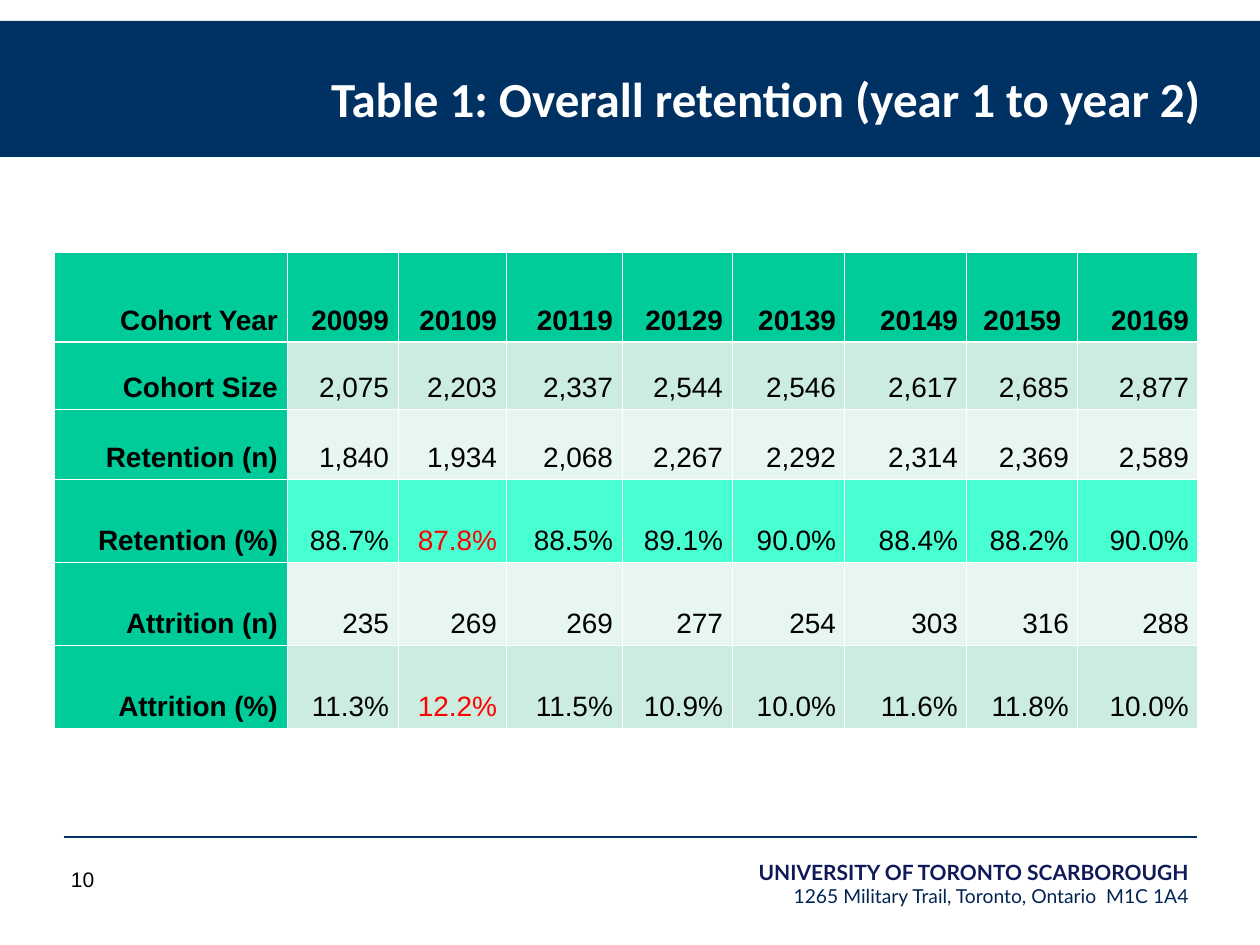
"""Build the slide with the overall retention table."""
from lxml.etree import SubElement
from pptx import Presentation
from pptx.dml.color import RGBColor
from pptx.enum.shapes import MSO_CONNECTOR, MSO_SHAPE
from pptx.enum.text import MSO_ANCHOR, PP_ALIGN
from pptx.oxml.ns import qn
from pptx.util import Emu, Pt

SCALE = 914400 / 126
NAVY = RGBColor(0x00, 0x31, 0x63)
INDIGO = RGBColor(0x11, 0x1A, 0x58)
INK = RGBColor(0x00, 0x25, 0x54)
WHITE = RGBColor(0xFF, 0xFF, 0xFF)
BLACK = RGBColor(0x00, 0x00, 0x00)
RED = RGBColor(0xFF, 0x00, 0x00)
GREEN = RGBColor(0x00, 0xCC, 0x99)
BRIGHT = RGBColor(0x47, 0xFF, 0xD1)
MINT = RGBColor(0xCB, 0xEC, 0xDE)
PALE = RGBColor(0xE7, 0xF6, 0xEF)

COLS = [233, 111, 108, 116, 110, 113, 122, 111, 120]
ROWS = [
    (90, GREEN, "Cohort Year|20099|20109|20119|20129|20139|20149|20159|20169"),
    (67, MINT, "Cohort Size|2,075|2,203|2,337|2,544|2,546|2,617|2,685|2,877"),
    (70, PALE, "Retention (n)|1,840|1,934|2,068|2,267|2,292|2,314|2,369|2,589"),
    (83, BRIGHT, "Retention (%)|88.7%|87.8%|88.5%|89.1%|90.0%|88.4%|88.2%|90.0%"),
    (83, PALE, "Attrition (n)|235|269|269|277|254|303|316|288"),
    (83, MINT, "Attrition (%)|11.3%|12.2%|11.5%|10.9%|10.0%|11.6%|11.8%|10.0%"),
]
LOWS = {"87.8%", "12.2%"}


def px(*nums):
    """Turn pixel lengths into EMU."""
    return [Emu(round(num * SCALE)) for num in nums]


def add_run(para, text, font, size, color, bold=False):
    """Add one formatted run to a paragraph."""
    run = para.add_run()
    run.text = text
    run.font.name = font
    run.font.size = Pt(size)
    run.font.bold = bold
    run.font.color.rgb = color


def set_frame(frame, anchor, pads):
    """Set anchor, insets and wrapping, and return the first paragraph."""
    frame.word_wrap = True
    frame.vertical_anchor = anchor
    (frame.margin_left, frame.margin_top,
     frame.margin_right, frame.margin_bottom) = px(*pads)
    return frame.paragraphs[0]


def add_band(slide):
    """Draw the navy band behind the title."""
    band = slide.shapes.add_shape(MSO_SHAPE.RECTANGLE, *px(0, 21, 1260, 136))
    band.shadow.inherit = False
    band.fill.solid()
    band.fill.fore_color.rgb = NAVY
    band.line.fill.background()


def add_rule(slide):
    """Draw the thin rule above the footer."""
    rule = slide.shapes.add_connector(
        MSO_CONNECTOR.STRAIGHT, *px(64, 837, 1197, 837))
    rule.line.color.rgb = NAVY
    rule.line.width = Pt(0.75)
    SubElement(rule.element.spPr, qn("a:effectLst"))


def set_title(slide):
    """Place the title in front of the band."""
    title = slide.shapes.title
    title.left, title.top, title.width, title.height = px(314, 11, 903, 116)
    title.element.getparent().append(title.element)
    para = set_frame(title.text_frame, MSO_ANCHOR.BOTTOM, (13, 6, 13, 0))
    para.alignment = PP_ALIGN.CENTER
    add_run(para, "Table 1: Overall retention (year 1 to year 2)",
            "Calibri", 28, WHITE, True)


def add_foot(slide):
    """Add the address and the page number."""
    box = slide.shapes.add_textbox(*px(273, 849, 916, 64))
    para = set_frame(box.text_frame, MSO_ANCHOR.MIDDLE, (101, 10, 0, 5))
    para.alignment = PP_ALIGN.RIGHT
    add_run(para, "UNIVERSITY OF TORONTO SCARBOROUGH", "Lato", 12, INDIGO, True)
    para.add_line_break()
    add_run(para, "1265 Military Trail, Toronto, Ontario  M1C 1A4",
            "Lato", 11, INK)
    page = slide.shapes.add_textbox(*px(58, 861, 48, 38))
    para = set_frame(page.text_frame, MSO_ANCHOR.TOP, (13, 6, 0, 6))
    add_run(para, "10", "Arial", 12, BLACK)


def add_edge(cell, side, width):
    """Add one white border to a cell."""
    edge = SubElement(cell._tc.get_or_add_tcPr(), qn(f"a:ln{side}"),
                      w=str(Pt(width)))
    fill = SubElement(edge, qn("a:solidFill"))
    SubElement(fill, qn("a:srgbClr"), val=str(WHITE))


def fill_cell(cell, text, row, col, color):
    """Write and format one table cell."""
    thick = {(0, "B"), (1, "T")}
    for side in "LRTB":
        add_edge(cell, side, 1.47 if (row, side) in thick else 0.45)
    cell.fill.solid()
    cell.fill.fore_color.rgb = color
    cell.vertical_anchor = MSO_ANCHOR.BOTTOM
    cell.margin_left, cell.margin_right = px(9, 9)
    cell.margin_top, cell.margin_bottom = px(6, 6)
    para = cell.text_frame.paragraphs[0]
    para.alignment = PP_ALIGN.CENTER if text == "20159" else PP_ALIGN.RIGHT
    para.line_spacing = 1.07
    add_run(para, text, "Arial", 16, RED if text in LOWS else BLACK,
            row == 0 or col == 0)


def add_grid(slide):
    """Add the retention table."""
    high = sum(row[0] for row in ROWS)
    table = slide.shapes.add_table(
        len(ROWS), len(COLS), *px(54, 252, sum(COLS), high)).table
    for col, width in zip(table.columns, px(*COLS)):
        col.width = width
    for row, (tall, color, line) in enumerate(ROWS):
        table.rows[row].height = px(tall)[0]
        for col, text in enumerate(line.split("|")):
            fill_cell(table.cell(row, col), text, row, col,
                      color if col else GREEN)


def main():
    """Build and save the slide."""
    deck = Presentation()
    deck.slide_width, deck.slide_height = px(1260, 945)
    slide = deck.slides.add_slide(deck.slide_layouts[5])
    add_band(slide)
    add_rule(slide)
    add_grid(slide)
    set_title(slide)
    add_foot(slide)
    deck.save("out.pptx")


if __name__ == "__main__":
    main()
